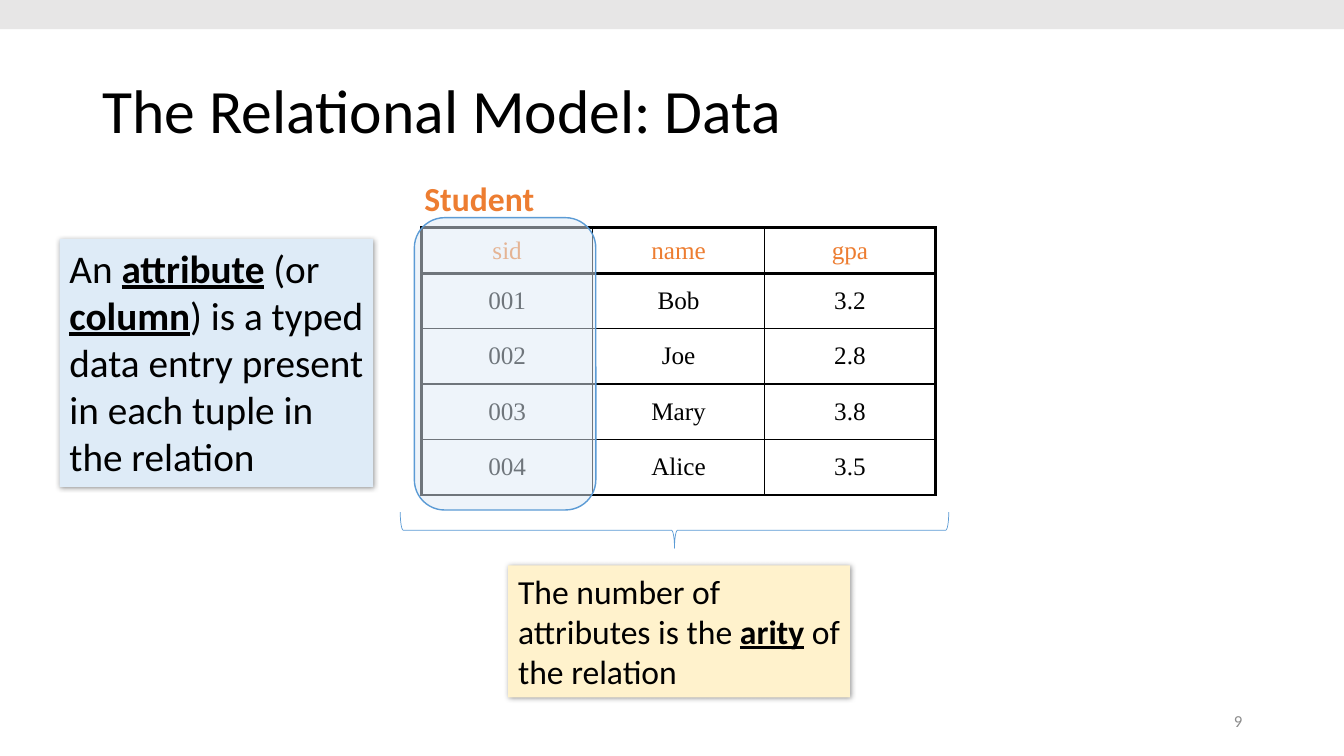
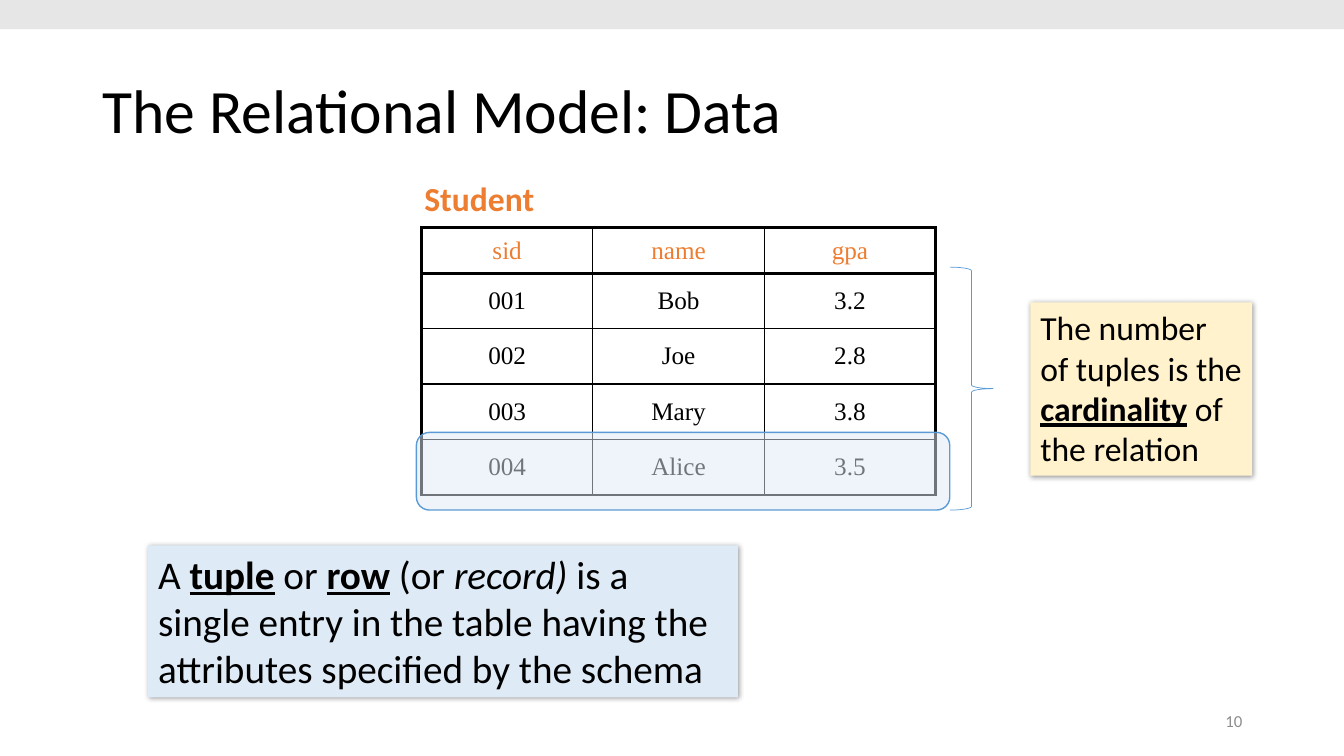
import pptx
import pptx.util
import pptx.dml.color
import pptx.enum.shapes
import pptx.enum.text
import pptx.oxml
import pptx.oxml.ns

BLACK = pptx.dml.color.RGBColor(0x00, 0x00, 0x00)
ORANGE = pptx.dml.color.RGBColor(0xED, 0x7D, 0x31)
BLUE = pptx.dml.color.RGBColor(0x5B, 0x9B, 0xD5)
PALE_BLUE = pptx.dml.color.RGBColor(0xDE, 0xEB, 0xF7)
PALE_YELLOW = pptx.dml.color.RGBColor(0xFF, 0xF2, 0xCC)
BAND_GRAY = pptx.dml.color.RGBColor(0xE7, 0xE6, 0xE6)
NUMBER_GRAY = pptx.dml.color.RGBColor(0x8C, 0x8C, 0x8C)

KINDS = pptx.enum.shapes.MSO_SHAPE
ALIGN = pptx.enum.text.PP_ALIGN
ANCHOR = pptx.enum.text.MSO_ANCHOR
AUTO_SIZE = pptx.enum.text.MSO_AUTO_SIZE

GRID = pptx.util.Inches(1)
COLUMNS, ROWS = 13.33, 7.5
MARGIN, CONTENT_W = 0.92, 11.5
CONTENT_RIGHT = MARGIN + CONTENT_W
NUMBER_W = 3

TABLE_X, TABLE_Y = 4.18, 2.26
FIELD_W, HEADER_H, RECORD_H = 1.7, 0.45, 0.55
STUDENTS = [
    ("sid", "name", "gpa"),
    ("001", "Bob", "3.2"),
    ("002", "Joe", "2.8"),
    ("003", "Mary", "3.8"),
    ("004", "Alice", "3.5"),
]
FIELDS, LAST = len(STUDENTS[0]), len(STUDENTS) - 1
TABLE_W, TABLE_H = FIELDS * FIELD_W, HEADER_H + LAST * RECORD_H
HIGHLIGHT_BOTTOM = TABLE_Y + TABLE_H + 0.15
THIN, THICK = 1, 2.25

NS = pptx.oxml.ns.nsdecls("a")
SHADOW = (
    f'<a:effectLst {NS}><a:outerShdw blurRad="50800" dist="12700" dir="2700000" '
    'algn="tl" rotWithShape="0"><a:srgbClr val="000000"><a:alpha val="40000"/>'
    "</a:srgbClr></a:outerShdw></a:effectLst>"
)

DEFINITIONS = [
    {
        "number": "9",
        "term": (0.59, 2.37, 3.11, 2.46),
        "term_text": [
            ("An ", ""), ("attribute", "bu"), (" (or ", ""), ("column", "bu"),
            (") is a typed data entry present in each tuple in the relation", ""),
        ],
        "count": (5.04, 5.61, 3.39, 1.31),
        "count_text": [
            ("The number of attributes is the ", ""), ("arity", "bu"),
            (" of the relation", ""),
        ],
        "highlight": (TABLE_X - 0.07, TABLE_Y - 0.1, FIELD_W + 0.1,
                      HIGHLIGHT_BOTTOM - TABLE_Y + 0.1),
        "brace": (6.51, 2.54, 0.36, 5.44),
        "turn": 270,
    },
    {
        "number": "10",
        "term": (1.47, 5.41, 5.85, 1.51),
        "term_text": [
            ("A ", ""), ("tuple", "bu"), (" or ", ""), ("row", "bu"),
            (" (or ", ""), ("record) ", "i"),
            ("is a single entry in the table having the attributes "
             "specified by the schema", ""),
        ],
        "count": (10.22, 3, 2.2, 1.72),
        "count_text": [
            ("The number of tuples is the ", ""), ("cardinality", "bu"),
            (" of the relation", ""),
        ],
        "highlight": (TABLE_X - 0.05, HIGHLIGHT_BOTTOM - 0.77, TABLE_W + 0.19, 0.77),
        "brace": (9.42, 2.65, 0.43, 2.41),
        "turn": 180,
    },
]


def write(frame, runs, size, color=BLACK, font="Calibri", align=ALIGN.LEFT,
          anchor=ANCHOR.TOP, wrap=True, spacing=None, fit=AUTO_SIZE.NONE):
    frame.word_wrap = wrap
    frame.auto_size = fit
    frame.vertical_anchor = anchor
    paragraph = frame.paragraphs[0]
    paragraph.alignment = align
    paragraph.line_spacing = spacing
    for text, style in runs:
        run = paragraph.add_run()
        run.text = text
        run.font.name = font
        run.font.size = pptx.util.Pt(size)
        run.font.color.rgb = color
        run.font.bold = "b" in style
        run.font.underline = "u" in style
        run.font.italic = "i" in style


def draw(slide, kind, at, fill=None, line_width=None):
    shape = slide.shapes.add_shape(kind, *(int(n * GRID) for n in at))
    shape.shadow.inherit = False
    if fill is None:
        shape.fill.background()
    else:
        shape.fill.solid()
        shape.fill.fore_color.rgb = fill
    if line_width is None:
        shape.line.fill.background()
    else:
        shape.line.color.rgb = BLUE
        shape.line.width = pptx.util.Pt(line_width)
    return shape


deck = pptx.Presentation()
deck.slide_width = int(COLUMNS * GRID)
deck.slide_height = int(ROWS * GRID)

for definition in DEFINITIONS:
    slide = deck.slides.add_slide(deck.slide_layouts[6])

    labels = [
        ((CONTENT_RIGHT - NUMBER_W, 6.95, NUMBER_W, 0.4), definition["number"], "",
         dict(size=12, color=NUMBER_GRAY, align=ALIGN.RIGHT, anchor=ANCHOR.MIDDLE)),
        ((MARGIN, 0.4, CONTENT_W, 1.45), "The Relational Model: Data", "",
         dict(size=44, anchor=ANCHOR.MIDDLE, spacing=0.9)),
        ((TABLE_X - 0.07, 1.72, 1.31, 0.5), "Student", "b",
         dict(size=24, color=ORANGE, wrap=False, fit=AUTO_SIZE.SHAPE_TO_FIT_TEXT)),
    ]
    for at, text, style, look in labels:
        label = slide.shapes.add_textbox(*(int(n * GRID) for n in at))
        write(label.text_frame, [(text, style)], **look)

    relation = slide.shapes.add_table(
        LAST + 1, FIELDS,
        *(int(n * GRID) for n in (TABLE_X, TABLE_Y, TABLE_W, TABLE_H))).table
    relation.first_row = False
    relation.horz_banding = False
    for column in relation.columns:
        column.width = int(FIELD_W * GRID)
    for r, record in enumerate(STUDENTS):
        relation.rows[r].height = int((RECORD_H if r else HEADER_H) * GRID)
        for c, value in enumerate(record):
            cell = relation.cell(r, c)
            cell.vertical_anchor = ANCHOR.MIDDLE
            write(cell.text_frame, [(value, "")], size=18, font="Times New Roman",
                  color=BLACK if r else ORANGE, align=ALIGN.CENTER, anchor=None,
                  wrap=None, fit=None)
            borders = {
                "L": c == 0,
                "R": c == FIELDS - 1,
                "T": r <= 1,
                "B": r in (0, LAST),
            }
            for side, heavy in borders.items():
                width = pptx.util.Pt(THICK if heavy else THIN)
                cell._tc.get_or_add_tcPr().append(pptx.oxml.parse_xml(
                    f'<a:ln{side} {NS} w="{width}"><a:solidFill>'
                    f'<a:srgbClr val="{BLACK}"/></a:solidFill></a:ln{side}>'))
            cell.fill.background()

    for part, color, size in (("term", PALE_BLUE, 28), ("count", PALE_YELLOW, 24)):
        callout = draw(slide, KINDS.RECTANGLE, definition[part], fill=color)
        properties = callout._element.spPr
        properties.replace(properties.find(pptx.oxml.ns.qn("a:effectLst")),
                           pptx.oxml.parse_xml(SHADOW))
        write(callout.text_frame, definition[part + "_text"], size,
              fit=AUTO_SIZE.SHAPE_TO_FIT_TEXT)

    highlight = draw(slide, KINDS.ROUNDED_RECTANGLE, definition["highlight"],
                     fill=PALE_BLUE, line_width=1)
    tint = highlight._element.spPr.find(pptx.oxml.ns.qn("a:solidFill"))[0]
    tint.append(pptx.oxml.parse_xml(f'<a:alpha {NS} val="50000"/>'))

    brace = draw(slide, KINDS.LEFT_BRACE, definition["brace"], line_width=0.5)
    brace.rotation = definition["turn"]

    draw(slide, KINDS.RECTANGLE, (0, 0, COLUMNS, 0.29), fill=BAND_GRAY)

deck.save("out.pptx")
